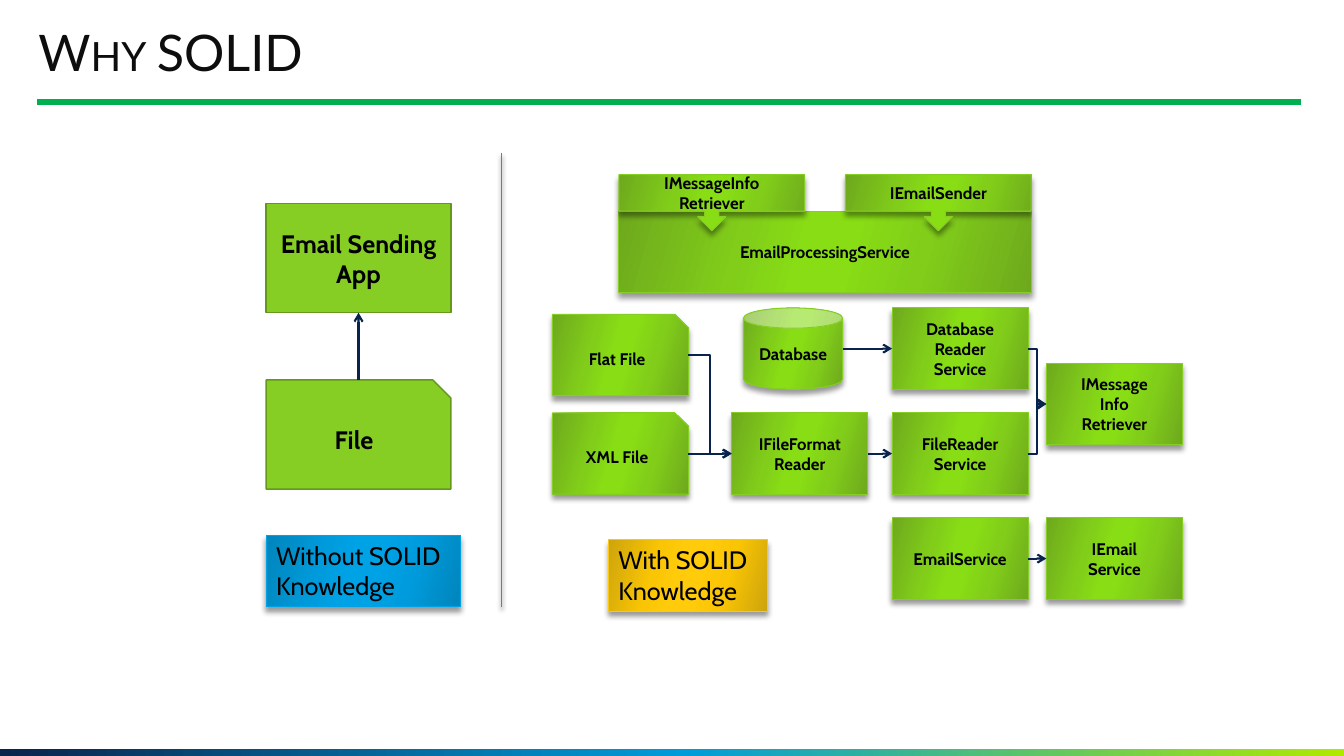
from dataclasses import dataclass

import pptx
import pptx.dml.color
import pptx.enum.dml
import pptx.enum.shapes
import pptx.enum.text
import pptx.oxml.ns
import pptx.util
from lxml import etree

Pt = pptx.util.Pt
qn = pptx.oxml.ns.qn
SHAPES = pptx.enum.shapes.MSO_SHAPE
CONNECTORS = pptx.enum.shapes.MSO_CONNECTOR
ALIGN = pptx.enum.text.PP_ALIGN
ANCHOR = pptx.enum.text.MSO_ANCHOR
TOP, LEFT, BOTTOM, RIGHT = range(4)


@dataclass(frozen=True)
class Theme:
    heading_font: str = "Lato"
    body_font: str = "Cabin"
    title_size: int = 36
    large_size: int = 18
    small_size: int = 12
    title: str = "0D0D0D"
    text: str = "000000"
    rule: str = "00B050"
    arrow: str = "09244C"
    flat_green: str = "86CE24"
    flat_edge: str = "63981B"
    blue_edge: str = "00A2E6"
    gold_edge: str = "FAC810"
    # Outer, inner and middle tones of a glossy fill
    green: tuple = ("6EA91D", "81CD1A", "88DD15")
    blue: tuple = ("0085BC", "009BDC", "00A2E6")
    gold: tuple = ("CDA40D", "FAC504", "FFCB0B")
    footer: tuple = ((0, "09244C"), (51, "009CDA"), (100, "B0E900"))


THEME = Theme()


def rgb(color):
    return pptx.dml.color.RGBColor.from_string(color)


def fill_gradient(shape, stops, angle):
    """Fill with (percent, colour) stops, at a clockwise angle in degrees."""
    shape.fill.gradient()
    shape.fill.gradient_angle = -angle % 360
    stop_list = shape._element.spPr.find(".//" + qn("a:gsLst"))
    for stop in list(stop_list):
        stop_list.remove(stop)
    for percent, color in stops:
        stop = etree.SubElement(stop_list, qn("a:gs"), pos=str(percent * 1000))
        etree.SubElement(stop, qn("a:srgbClr"), val=color)


def fill_glossy(shape, tones):
    outer, inner, middle = tones
    stops = zip((0, 30, 45, 55, 73, 100),
                (outer, inner, middle, middle, inner, outer))
    fill_gradient(shape, stops, 16)


def set_shadow(shape, blur=0, distance=0):
    """Drop a soft shadow straight down, or none when blur is zero."""
    properties = shape._element.spPr
    effects = properties.find(qn("a:effectLst"))
    if effects is None:
        effects = etree.SubElement(properties, qn("a:effectLst"))
    if blur:
        shadow = etree.SubElement(
            effects, qn("a:outerShdw"), blurRad=str(Pt(blur)),
            dist=str(Pt(distance)), dir="5400000", rotWithShape="0")
        color = etree.SubElement(shadow, qn("a:srgbClr"), val=THEME.text)
        etree.SubElement(color, qn("a:alpha"), val="40000")


def set_text(shape, text, size, bold, align, anchor):
    frame = shape.text_frame
    frame.word_wrap = True
    frame.vertical_anchor = anchor
    frame.text = text
    for paragraph in frame.paragraphs:
        paragraph.alignment = align
        font = paragraph.runs[0].font
        font.name, font.size, font.bold = THEME.body_font, Pt(size), bold
        font.color.rgb = rgb(THEME.text)


def add_shape(slide, kind, left, top, width, height):
    shape = slide.shapes.add_shape(kind, Pt(left), Pt(top), Pt(width), Pt(height))
    shape.shadow.inherit = False
    return shape


def set_outline(shape, color, width):
    shape.line.color.rgb = rgb(color)
    shape.line.width = Pt(width)


def add_flat_box(slide, text, top, kind=SHAPES.RECTANGLE):
    box = add_shape(slide, kind, 190.1, top, 132, 78)
    box.fill.solid()
    box.fill.fore_color.rgb = rgb(THEME.flat_green)
    set_outline(box, THEME.flat_edge, 1)
    set_text(box, text, THEME.large_size, True, ALIGN.CENTER, ANCHOR.MIDDLE)
    return box


def add_part(slide, text, left, top, width=97.2, height=58, kind=SHAPES.RECTANGLE):
    """Add one glossy green component of the design with SOLID."""
    part = add_shape(slide, kind, left, top, width, height)
    fill_glossy(part, THEME.green)
    set_outline(part, THEME.flat_green, 0.75)
    set_shadow(part, 4, 3.3)
    set_text(part, text, THEME.small_size, True, ALIGN.CENTER, ANCHOR.MIDDLE)
    return part


def add_caption(slide, text, left, top, width, tones, edge):
    caption = add_shape(slide, SHAPES.RECTANGLE, left, top, width, 51)
    fill_glossy(caption, tones)
    set_outline(caption, edge, 0.75)
    set_shadow(caption, 4, 3.3)
    set_text(caption, text, THEME.large_size, False, ALIGN.LEFT, ANCHOR.TOP)


def add_line(slide, start, end, color, width, kind=CONNECTORS.STRAIGHT):
    line = slide.shapes.add_connector(kind, *start, *end)
    set_outline(line, color, width)
    set_shadow(line)
    return line


def side_middle(shape, side):
    x = shape.left + int(shape.width * {LEFT: 0, RIGHT: 1}.get(side, 0.5))
    y = shape.top + int(shape.height * {TOP: 0, BOTTOM: 1}.get(side, 0.5))
    return x, y


def add_arrow(slide, source, target, kind=CONNECTORS.STRAIGHT, sides=(RIGHT, LEFT)):
    arrow = add_line(slide, side_middle(source, sides[0]),
                     side_middle(target, sides[1]), THEME.arrow, 1.5, kind)
    if source.auto_shape_type == SHAPES.RECTANGLE:
        arrow.begin_connect(source, sides[0])
    if target.auto_shape_type == SHAPES.RECTANGLE:
        arrow.end_connect(target, sides[1])
    outline = arrow._element.spPr.find(qn("a:ln"))
    etree.SubElement(outline, qn("a:tailEnd"), type="arrow")


def add_title(slide, text):
    title = slide.shapes.title
    title.left, title.top, title.width, title.height = map(Pt, (27.4, 19.4, 805.7, 39.6))
    frame = title.text_frame
    frame.margin_left = frame.margin_right = frame.margin_top = frame.margin_bottom = 0
    frame.vertical_anchor = ANCHOR.MIDDLE
    frame.text = text
    paragraph = frame.paragraphs[0]
    paragraph.alignment = ALIGN.LEFT
    paragraph.line_spacing = 0.9
    font = paragraph.runs[0].font
    font.name, font.size = THEME.heading_font, Pt(THEME.title_size)
    font.color.rgb = rgb(THEME.title)
    paragraph.runs[0]._r.get_or_add_rPr().set("cap", "small")


def add_frame(slide):
    footer = add_shape(slide, SHAPES.RECTANGLE, 0, 535, 960, 5)
    fill_gradient(footer, THEME.footer, 0)
    footer.line.fill.background()
    add_line(slide, (Pt(26.6), Pt(72.7)), (Pt(929.5), Pt(72.7)), THEME.rule, 4.5)


def add_simple_design(slide):
    app = add_flat_box(slide, "Email Sending App", 145.4)
    file = add_flat_box(slide, "File", 271.4, SHAPES.SNIP_1_RECTANGLE)
    add_arrow(slide, file, app, sides=(TOP, BOTTOM))


def add_solid_design(slide):
    files, formats, services, interfaces = 394.6, 522.7, 637.2, 747.4
    row_1, row_2, row_3 = (220 + 75 * row for row in range(3))

    add_part(slide, "EmailProcessingService", 442.1, 151.2, 294.5)
    for text, left in (("IMessageInfo\nRetriever", 442.1), ("IEmailSender", 603.9)):
        add_part(slide, text, left, 124.8, 132.7, 40, SHAPES.DOWN_ARROW_CALLOUT)

    flat_file = add_part(slide, "Flat File", files, 224.6, kind=SHAPES.SNIP_1_RECTANGLE)
    xml_file = add_part(slide, "XML File", files, row_2, kind=SHAPES.SNIP_1_RECTANGLE)
    database = add_part(slide, "Database", 531.1, row_1, 70.8, kind=SHAPES.CAN)
    format_reader = add_part(slide, "IFileFormat Reader", formats, row_2)
    database_reader = add_part(slide, "Database\nReader\nService", services, row_1)
    file_reader = add_part(slide, "FileReader\nService", services, row_2)
    email_service = add_part(slide, "EmailService", services, row_3)
    retriever = add_part(slide, "IMessage\nInfo\nRetriever", interfaces, 259.6)
    email_interface = add_part(slide, "IEmail\nService", interfaces, row_3)

    for source, target in ((xml_file, format_reader), (format_reader, file_reader),
                           (database, database_reader), (email_service, email_interface)):
        add_arrow(slide, source, target)
    for source, target in ((flat_file, format_reader), (database_reader, retriever),
                           (file_reader, retriever)):
        add_arrow(slide, source, target, CONNECTORS.ELBOW)


def main():
    presentation = pptx.Presentation()
    presentation.slide_width, presentation.slide_height = Pt(960), Pt(540)
    slide = presentation.slides.add_slide(presentation.slide_layouts[5])
    add_frame(slide)
    add_title(slide, "Why SOLID")
    add_simple_design(slide)
    add_solid_design(slide)
    add_caption(slide, "Without SOLID\nKnowledge", 190.1, 382.3, 138.9,
                THEME.blue, THEME.blue_edge)
    add_caption(slide, "With SOLID\nKnowledge", 434.6, 385.5, 113.6,
                THEME.gold, THEME.gold_edge)
    divider = add_line(slide, (Pt(358.4), Pt(109.4)), (Pt(358.4), Pt(433.4)),
                       THEME.blue_edge, 1)
    set_shadow(divider, 3, 2)
    presentation.save("out.pptx")


if __name__ == "__main__":
    main()
